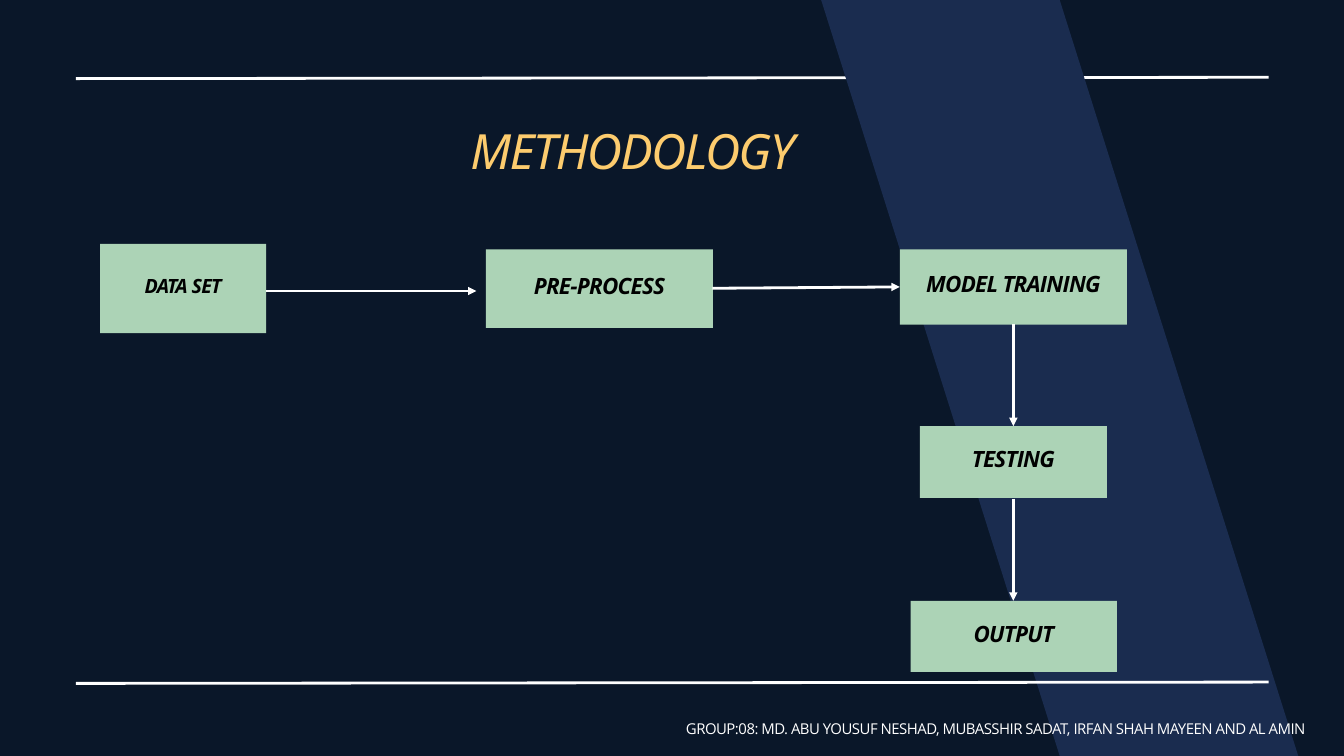
import pptx
import pptx.dml.color
import pptx.enum.shapes
import pptx.enum.text
import pptx.oxml.ns
import pptx.util
from lxml import etree

Inches = pptx.util.Inches
RGBColor = pptx.dml.color.RGBColor
Anchor = pptx.enum.text.MSO_ANCHOR
Align = pptx.enum.text.PP_ALIGN

NAVY = RGBColor(0x0A, 0x17, 0x29)
BAND_BLUE = RGBColor(0x1A, 0x2C, 0x4F)
GOLD = RGBColor(0xFD, 0xCC, 0x6E)
GREEN = RGBColor(0xAC, 0xD3, 0xB6)
WHITE = RGBColor(0xFF, 0xFF, 0xFF)
BLACK = RGBColor(0, 0, 0)

# Flow steps: label, (left, top, width, height), text size, line pitch
STEPS = [
    ("DATA SET", (1.49, 3.63, 2.47, 1.33), 21, 26.7),
    ("PRE-PROCESS", (7.23, 3.71, 3.38, 1.17), 24, 30.5),
    ("MODEL TRAINING", (13.39, 3.71, 3.38, 1.12), 24, 30.5),
    ("TESTING", (13.69, 6.34, 2.78, 1.07), 24, 30.5),
    ("OUTPUT", (13.55, 8.94, 3.07, 1.06), 24, 30.5),
]
# Flow arrows: start, end
ARROWS = [
    ((3.96, 4.33), (7.09, 4.33)),
    ((10.6, 4.29), (13.39, 4.27)),
    ((15.08, 4.82), (15.08, 6.34)),
    ((15.08, 7.42), (15.08, 8.94)),
]


def write_text(shape, text, font_name, size, color, pitch, tracking,
               align=Align.CENTER, anchor=Anchor.TOP, insets=(0, 0, 0, 0),
               bold=False, italic=False):
    """Fill a shape with one formatted line; insets are left, top, right, bottom."""
    frame = shape.text_frame
    frame.word_wrap = True
    frame.auto_size = pptx.enum.text.MSO_AUTO_SIZE.NONE
    frame.vertical_anchor = anchor
    (frame.margin_left, frame.margin_top,
     frame.margin_right, frame.margin_bottom) = map(Inches, insets)
    para = frame.paragraphs[0]
    para.alignment = align
    para.line_spacing = pptx.util.Pt(pitch)
    para.space_before = pptx.util.Pt(0)
    font = para.font
    font.name, font.size = font_name, pptx.util.Pt(size)
    font.bold, font.italic = bold, italic
    font.color.rgb = color
    span = para.add_run()
    span.text = text
    span._r.get_or_add_rPr().set("spc", str(round(tracking * 100)))


def add_line(page, start, end, arrow=False):
    line = page.shapes.add_connector(
        pptx.enum.shapes.MSO_CONNECTOR.STRAIGHT,
        *map(Inches, start + end))
    line.line.color.rgb = WHITE
    line.line.width = pptx.util.Pt(3)
    if arrow:
        etree.SubElement(line.line._get_or_add_ln(),
                         pptx.oxml.ns.qn("a:tailEnd"), type="triangle")
    etree.SubElement(line._element.spPr, pptx.oxml.ns.qn("a:effectLst"))


def add_band(page, left, top, width, height):
    """Slanted band whose top and bottom edges are half its width."""
    middle, right, bottom = left + width / 2, left + width, top + height
    builder = page.shapes.build_freeform(Inches(middle), Inches(top))
    builder.add_line_segments(
        [(Inches(x), Inches(y)) for x, y in
         [(left, top), (middle, bottom), (right, bottom)]], close=True)
    band = builder.convert_to_shape()
    band.shadow.inherit = False
    band.fill.solid()
    band.fill.fore_color.rgb = BAND_BLUE
    band.line.fill.background()


def add_backdrop(page):
    page.background.fill.solid()
    page.background.fill.fore_color.rgb = NAVY
    add_line(page, (1.13, 1.17), (18.88, 1.15))
    add_band(page, 12.22, 0, 7.1, 11.25)
    add_line(page, (1.13, 10.17), (18.88, 10.15))


def place_title(page, left, top, width, height):
    title = page.shapes.title
    title.left, title.top = Inches(left), Inches(top)
    title.width, title.height = Inches(width), Inches(height)
    write_text(title, "METHODOLOGY", "Noto Sans", 52, GOLD, 66, -1.7,
               align=Align.LEFT, italic=True)


def add_step(page, label, bounds, size, pitch):
    box = page.shapes.add_shape(
        pptx.enum.shapes.MSO_SHAPE.RECTANGLE, *map(Inches, bounds))
    box.shadow.inherit = False
    box.fill.solid()
    box.fill.fore_color.rgb = GREEN
    box.line.fill.background()
    # The deeper bottom inset lifts the label slightly above the middle
    write_text(box, label, "Open Sans", size, BLACK, pitch, -size / 30,
               anchor=Anchor.MIDDLE, insets=(0.06, 0.06, 0.06, 0.18),
               bold=True, italic=True)


def add_flow(page):
    for step in STEPS:
        add_step(page, *step)
    for start, end in ARROWS:
        add_line(page, start, end, arrow=True)


def add_credits(page, left, top, width, height):
    box = page.shapes.add_textbox(*map(Inches, (left, top, width, height)))
    write_text(box, "GROUP:08: MD. ABU YOUSUF NESHAD, MUBASSHIR SADAT, "
               "IRFAN SHAH MAYEEN AND AL AMIN",
               "Open Sans", 16, WHITE, 20.3, -0.5)


def main():
    deck = pptx.Presentation()
    deck.slide_width, deck.slide_height = Inches(20), Inches(11.25)
    page = deck.slides.add_slide(deck.slide_layouts.get_by_name("Title Only"))
    add_backdrop(page)
    place_title(page, 7, 1.75, 5.44, 0.92)
    add_flow(page)
    add_credits(page, 9.64, 10.7, 10.36, 0.3)
    deck.save("out.pptx")


if __name__ == "__main__":
    main()
